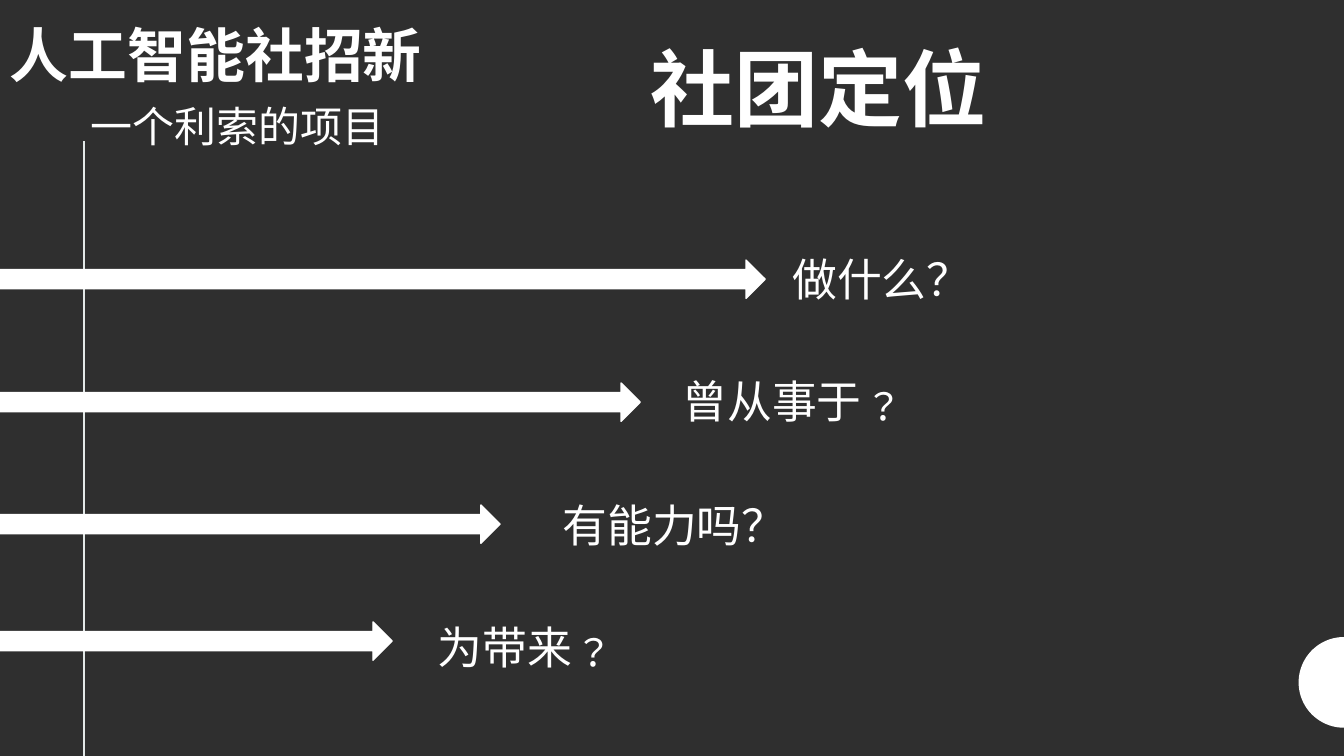
import math

from lxml import etree
from pptx import Presentation
from pptx.dml.color import RGBColor
from pptx.enum import shapes, text
from pptx.oxml import ns
from pptx.util import Inches, Pt

WHITE = RGBColor(0xFF, 0xFF, 0xFF)
CHARCOAL = RGBColor(0x2F, 0x2F, 0x2F)
PALE_GREY = RGBColor(0xE2, 0xE8, 0xE7)
FONT = "Calibri"
SLIDE_WIDTH, SLIDE_HEIGHT = 13.33, 7.5
ARROW_LEFT, ARROW_HEIGHT = -0.64, 0.38

# Arrow top, arrow length, question left, question top, question
QUESTIONS = [
    (2.58, 8.23, 7.76, 2.45, "做什么？"),
    (3.80, 6.99, 6.67, 3.66, "曾从事于﹖"),
    (5.01, 5.60, 5.48, 4.89, "有能力吗？"),
    (6.17, 4.53, 4.24, 6.10, "为带来﹖"),
]


def write(frame, words, size, bold=False):
    """Set one left-aligned white line at the top of a text frame."""
    frame.word_wrap = True
    frame.vertical_anchor = text.MSO_ANCHOR.TOP
    para = frame.paragraphs[0]
    para.alignment = text.PP_ALIGN.LEFT
    span = para.add_run()
    span.text = words
    span.font.name = FONT
    span.font.size = Pt(size)
    span.font.bold = bold
    span.font.color.rgb = WHITE
    return para


def add_text(page, left, top, width, height, words, size, bold=False):
    box = page.shapes.add_textbox(
        Inches(left), Inches(top), Inches(width), Inches(height))
    return write(box.text_frame, words, size, bold)


def add_title(page, left, top, width, height, words, size):
    title = page.shapes.title
    title.left, title.top = Inches(left), Inches(top)
    title.width, title.height = Inches(width), Inches(height)
    title.text_frame.auto_size = text.MSO_AUTO_SIZE.NONE
    write(title.text_frame, words, size, bold=True)


def paint_white(shape):
    shape.shadow.inherit = False
    shape.fill.solid()
    shape.fill.fore_color.rgb = WHITE


def add_half_disc(page, centre_x, centre_y, radius, steps=48):
    """Draw the left half of a disc, flat side on the slide's edge."""
    angles = [math.pi / 2 + math.pi * step / steps for step in range(steps + 1)]
    points = [(Inches(centre_x + radius * math.cos(angle)),
               Inches(centre_y + radius * math.sin(angle))) for angle in angles]
    builder = page.shapes.build_freeform(*points[0])
    builder.add_line_segments(points[1:], close=True)
    disc = builder.convert_to_shape()
    paint_white(disc)
    disc.line.fill.background()


def add_vertical_line(page, x, top, bottom):
    line = page.shapes.add_connector(
        shapes.MSO_CONNECTOR.STRAIGHT,
        Inches(x), Inches(top), Inches(x), Inches(bottom))
    line.line.color.rgb = PALE_GREY
    line.line.width = Pt(1.5)
    etree.SubElement(line._element.spPr, ns.qn("a:effectLst"))


def add_arrow(page, top, length):
    arrow = page.shapes.add_shape(
        shapes.MSO_SHAPE.RIGHT_ARROW, Inches(ARROW_LEFT), Inches(top),
        Inches(length), Inches(ARROW_HEIGHT))
    paint_white(arrow)
    arrow.line.color.rgb = WHITE
    arrow.line.width = Pt(1)


def main():
    deck = Presentation()
    deck.slide_width = Inches(SLIDE_WIDTH)
    deck.slide_height = Inches(SLIDE_HEIGHT)
    page = deck.slides.add_slide(deck.slide_layouts.get_by_name("Title Only"))
    page.background.fill.solid()
    page.background.fill.fore_color.rgb = CHARCOAL

    add_half_disc(page, SLIDE_WIDTH, 6.77, 0.45)
    add_vertical_line(page, 0.83, 1.4, SLIDE_HEIGHT)
    subtitle = add_text(page, 0.8, 0.95, 5.87, 1, "一个利索的项目", 30)
    subtitle.space_before = subtitle.space_after = Pt(4)
    add_text(page, 0, 0.14, 6.35, 0.81, "人工智能社招新", 42, bold=True)
    add_title(page, 6.35, 0.31, 5.27, 1.11, "社团定位", 60)

    for arrow_top, length, left, top, question in QUESTIONS:
        add_arrow(page, arrow_top, length)
        add_text(page, left, top, 5.79, 0.64, question, 32)

    deck.save("out.pptx")


if __name__ == "__main__":
    main()
